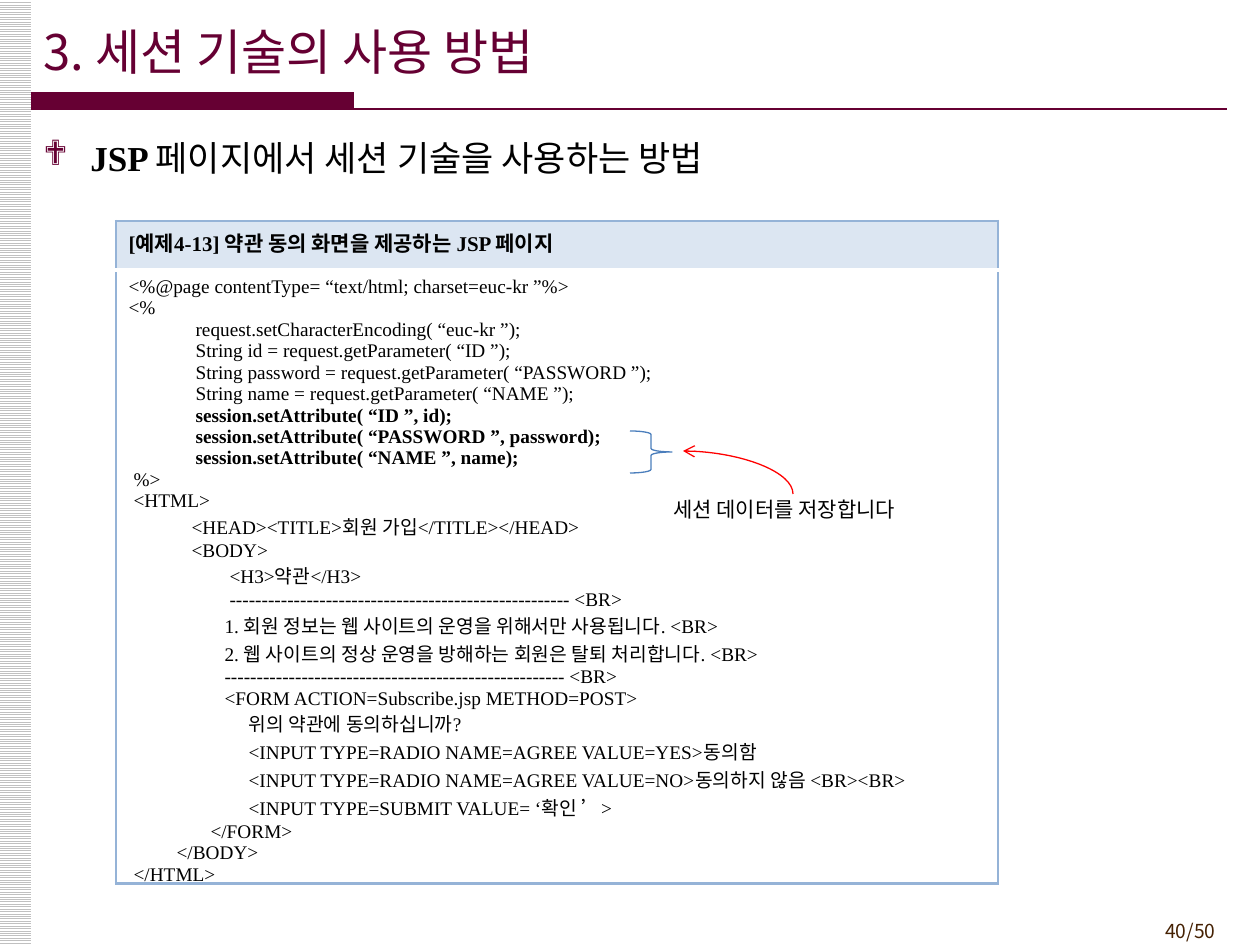
from lxml import etree
from pptx import Presentation
from pptx.dml.color import RGBColor
from pptx.enum.dml import MSO_PATTERN
from pptx.enum.shapes import MSO_CONNECTOR, MSO_SHAPE
from pptx.enum.text import MSO_ANCHOR, PP_ALIGN
from pptx.oxml.ns import qn
from pptx.util import Pt

PX = 914400 / 126
SANS = "Noto Sans CJK KR"
SERIF = "Times New Roman"
WINE = RGBColor(0x66, 0x00, 0x33)
BLACK = RGBColor(0x00, 0x00, 0x00)
WHITE = RGBColor(0xFF, 0xFF, 0xFF)
GREY = RGBColor(0xC0, 0xC0, 0xC0)
BROWN = RGBColor(0x45, 0x21, 0x03)
PALE_BLUE = RGBColor(0xDC, 0xE6, 0xF2)
FRAME_BLUE = RGBColor(0x95, 0xB3, 0xD7)
BRACE_BLUE = RGBColor(0x4B, 0x7E, 0xBC)
RED = RGBColor(0xFF, 0x00, 0x00)

HEADING = "[예제4-13] 약관 동의 화면을 제공하는 JSP 페이지"
# Code lines: indent in px, text, bold
CODE = [
    (0, "<%@page contentType= “text/html; charset=euc-kr ”%>", False),
    (0, "<%", False),
    (67, "request.setCharacterEncoding( “euc-kr ”);", False),
    (67, "String id = request.getParameter( “ID ”);", False),
    (67, "String password = request.getParameter( “PASSWORD ”);", False),
    (67, "String name = request.getParameter( “NAME ”);", False),
    (67, "session.setAttribute( “ID ”, id);", True),
    (67, "session.setAttribute( “PASSWORD ”, password);", True),
    (67, "session.setAttribute( “NAME ”, name);", True),
    (5, "%>", False),
    (5, "<HTML>", False),
    (63, "<HEAD><TITLE>회원 가입</TITLE></HEAD>", False),
    (63, "<BODY>", False),
    (101, "<H3>약관</H3>", False),
    (101, "-" * 53 + " <BR>", False),
    (96, "1. 회원 정보는 웹 사이트의 운영을 위해서만 사용됩니다. <BR>", False),
    (96, "2. 웹 사이트의 정상 운영을 방해하는 회원은 탈퇴 처리합니다. <BR>", False),
    (96, "-" * 53 + " <BR>", False),
    (96, "<FORM ACTION=Subscribe.jsp METHOD=POST>", False),
    (120, "위의 약관에 동의하십니까?", False),
    (120, "<INPUT TYPE=RADIO NAME=AGREE VALUE=YES>동의함", False),
    (120, "<INPUT TYPE=RADIO NAME=AGREE VALUE=NO>동의하지 않음 <BR><BR>", False),
    (120, "<INPUT TYPE=SUBMIT VALUE= ‘확인 ’>", False),
    (82, "</FORM>", False),
    (48, "</BODY>", False),
    (5, "</HTML>", False),
]


def px(*lengths):
    return [round(n * PX) for n in lengths]


class SlideBuilder:
    def __init__(self, prs):
        self.s = prs.slides.add_slide(prs.slide_layouts[5])

    def format_run(self, r, size, color=BLACK, font=SANS, bold=False):
        r.font.size, r.font.name, r.font.bold = Pt(size), font, bold
        r.font.color.rgb = color
        ea = etree.SubElement(r.font._element, qn("a:ea"))
        ea.set("typeface", SANS)

    def title(self, box, text):
        sp = self.s.shapes.title
        sp.left, sp.top, sp.width, sp.height = px(*box)
        tf = sp.text_frame
        tf.text = text
        tf.vertical_anchor = MSO_ANCHOR.MIDDLE
        p = tf.paragraphs[0]
        p.alignment = PP_ALIGN.LEFT
        self.format_run(p.runs[0], 28, WINE)

    def text(self, box, runs, align=PP_ALIGN.LEFT, anchor=MSO_ANCHOR.TOP, fill=None):
        sp = self.s.shapes.add_textbox(*px(*box))
        if fill is not None:
            sp.fill.solid()
            sp.fill.fore_color.rgb = fill
        tf = sp.text_frame
        tf.word_wrap, tf.vertical_anchor = True, anchor
        p = tf.paragraphs[0]
        p.alignment = align
        for text, style in runs:
            r = p.add_run()
            r.text = text
            self.format_run(r, **style)
        return p

    def bullet(self, p, char, color, indent):
        p.space_before = Pt(4)
        pPr = p._p.get_or_add_pPr()
        pPr.set("marL", str(px(indent)[0]))
        pPr.set("indent", str(px(-indent)[0]))
        clr = etree.SubElement(pPr, qn("a:buClr"))
        etree.SubElement(clr, qn("a:srgbClr")).set("val", str(color))
        etree.SubElement(pPr, qn("a:buFont")).set("typeface", "Wingdings")
        etree.SubElement(pPr, qn("a:buChar")).set("char", char)

    def shape(self, kind, box):
        sp = self.s.shapes.add_shape(kind, *px(*box))
        sp.shadow.inherit = False
        sp.line.fill.background()
        return sp

    def bar(self, box, color):
        sp = self.shape(MSO_SHAPE.RECTANGLE, box)
        sp.fill.solid()
        sp.fill.fore_color.rgb = color

    def stripes(self, box, color):
        sp = self.shape(MSO_SHAPE.RECTANGLE, box)
        sp.fill.patterned()
        sp.fill.pattern = MSO_PATTERN.LIGHT_HORIZONTAL
        sp.fill.fore_color.rgb, sp.fill.back_color.rgb = color, WHITE

    def brace(self, box, color):
        sp = self.shape(MSO_SHAPE.RIGHT_BRACE, box)
        sp.fill.background()
        sp.line.color.rgb, sp.line.width = color, Pt(0.75)

    def line(self, ends, color, width, kind=MSO_CONNECTOR.STRAIGHT):
        cn = self.s.shapes.add_connector(kind, *px(*ends))
        cn.line.color.rgb, cn.line.width = color, Pt(width)
        etree.SubElement(cn._element.spPr, qn("a:effectLst"))
        return cn

    def curved_arrow(self, start, end, color):
        # A quarter curve that leaves upwards: the box is turned by 270 degrees
        (x1, y1), (x2, y2) = start, end
        cx, cy = (x1 + x2) / 2, (y1 + y2) / 2
        w, h = abs(y1 - y2) / 2, abs(x1 - x2) / 2
        cn = self.line((cx - w, cy + h, cx + w, cy - h), color, 0.75, MSO_CONNECTOR.CURVE)
        spPr = cn._element.spPr
        spPr.find(qn("a:xfrm")).set("rot", "16200000")
        spPr.find(qn("a:prstGeom")).set("prst", "curvedConnector2")
        etree.SubElement(cn.line._get_or_add_ln(), qn("a:tailEnd")).set("type", "arrow")

    def cell(self, cell, lines, size, fill, borders):
        tcPr = cell._tc.get_or_add_tcPr()
        for side, (color, width) in zip("LRTB", borders):
            ln = etree.SubElement(tcPr, qn(f"a:ln{side}"), w=str(Pt(width)))
            solid = etree.SubElement(ln, qn("a:solidFill"))
            etree.SubElement(solid, qn("a:srgbClr")).set("val", str(color))
        cell.fill.solid()
        cell.fill.fore_color.rgb = fill
        tf = cell.text_frame
        tf.text = "\n".join(text for _, text, _ in lines)
        for p, (indent, _, bold) in zip(tf.paragraphs, lines):
            p._p.get_or_add_pPr().set("marL", str(px(indent)[0]))
            self.format_run(p.runs[0], size, font=SERIF, bold=bold)

    def code_table(self, box, heights, heading, code):
        table = self.s.shapes.add_table(2, 1, *px(*box)).table
        table.horz_banding = False
        for row, height in zip(table.rows, px(*heights)):
            row.height = height
        edge, gap = (FRAME_BLUE, 1.5), (WHITE, 3)
        self.cell(table.cell(0, 0), [(0, heading, True)], 12, PALE_BLUE, (edge, edge, edge, gap))
        self.cell(table.cell(1, 0), code, 11, WHITE, (edge, edge, gap, edge))


def main():
    prs = Presentation()
    prs.slide_width, prs.slide_height = px(1260, 945)
    b = SlideBuilder(prs)

    # Frame of the page
    b.stripes((-1, 0, 32, 945), GREY)
    b.text((1124, 913, 104, 37), [("40/50", dict(size=11, color=BROWN))], PP_ALIGN.RIGHT)
    b.bar((31, 92, 323, 18), WINE)
    b.line((31, 109, 1227, 109), WINE, 1.5)

    # Title and topic
    b.title((31, 11, 1166, 79), "3. 세션 기술의 사용 방법")
    topic = b.text((31, 130, 1197, 60), [
        ("JSP ", dict(size=20, font=SERIF, bold=True)),
        ("페이지에서 세션 기술을 사용하는 방법", dict(size=20)),
    ])
    b.bullet(topic, "❖", WINE, 47)

    # Code listing
    b.code_table((116, 221, 882, 503), (49, 454), HEADING, CODE)

    # Remark on the session lines
    b.brace((630, 431, 42, 42), BRACE_BLUE)
    b.text((661, 494, 263, 31), [("세션 데이터를 저장합니다", dict(size=12))],
           anchor=MSO_ANCHOR.MIDDLE, fill=WHITE)
    b.curved_arrow((793, 494), (683, 451), RED)

    prs.save("out.pptx")


if __name__ == "__main__":
    main()
